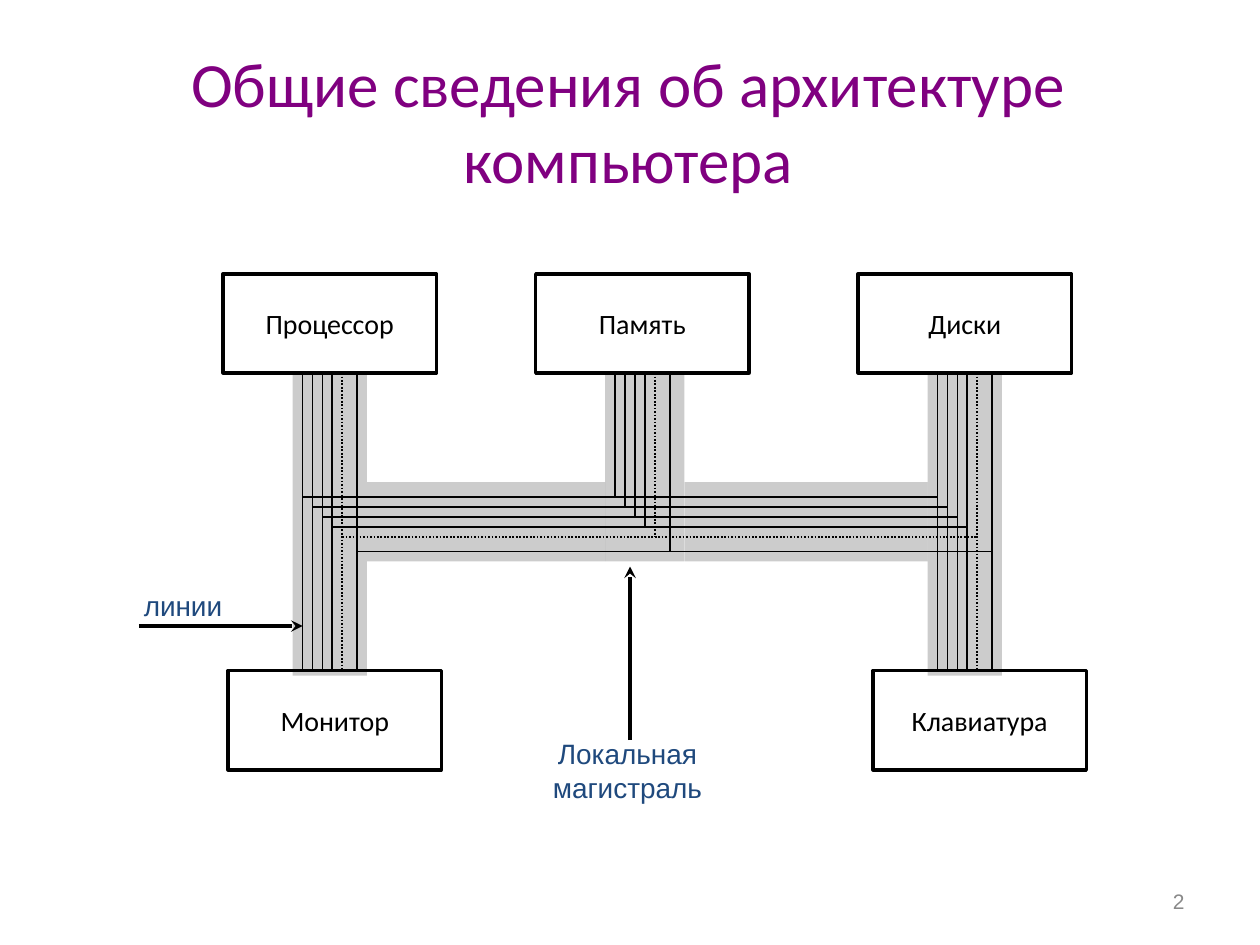
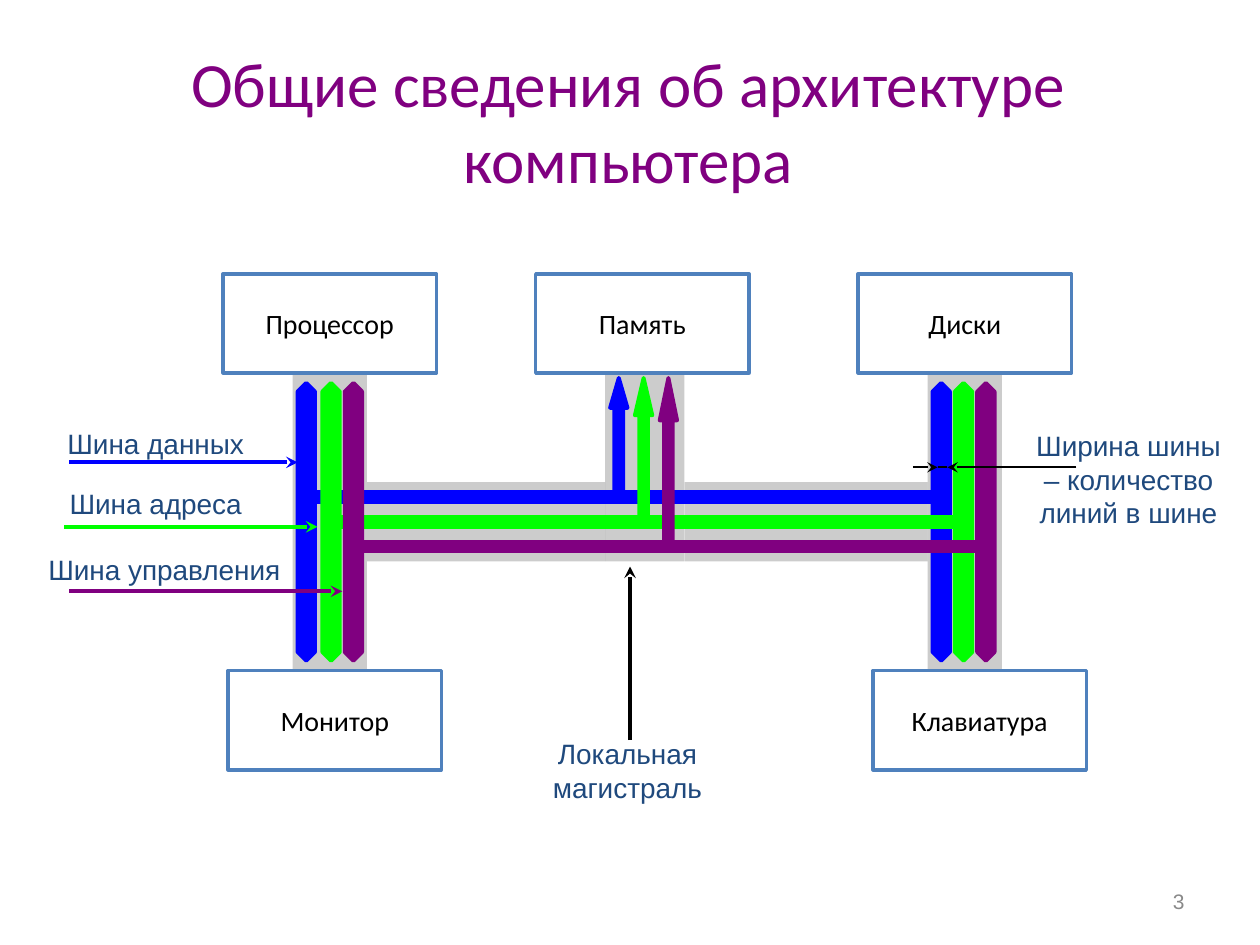
import itertools
from dataclasses import dataclass
from typing import Any, Optional

import pptx
import pptx.util
import pptx.dml.color
import pptx.enum.dml
import pptx.enum.shapes
import pptx.enum.text
import pptx.oxml.ns
from lxml import etree

RGBColor = pptx.dml.color.RGBColor
Pt = pptx.util.Pt
Shape = pptx.enum.shapes.MSO_SHAPE
Align = pptx.enum.text.PP_ALIGN
Anchor = pptx.enum.text.MSO_ANCHOR
qn = pptx.oxml.ns.qn

BLACK = RGBColor(0x00, 0x00, 0x00)
WHITE = RGBColor(0xFF, 0xFF, 0xFF)
PURPLE = RGBColor(0x80, 0x00, 0x80)
BLUE = RGBColor(0x00, 0x00, 0xFF)
GREEN = RGBColor(0x00, 0xFF, 0x00)
STEEL = RGBColor(0x4F, 0x81, 0xBD)
NAVY = RGBColor(0x1F, 0x49, 0x7D)
GREY = RGBColor(0x89, 0x89, 0x89)

# The grid has 254 columns across the slide and square cells.
SLIDE_WIDTH = pptx.util.Inches(10)
SLIDE_HEIGHT = pptx.util.Inches(7.5)
CELL = SLIDE_WIDTH / 254
TOP_OFFSET = 0.2

THIN, THICK = 1, 2.25
TITLE = "Общие сведения об архитектуре компьютера"


@dataclass(frozen=True)
class Area:
    column: float
    row: float
    columns: float
    rows: float

    def emu(self) -> tuple[int, ...]:
        cells = (self.column, self.row + TOP_OFFSET, self.columns, self.rows)
        return tuple(round(cell * CELL) for cell in cells)


@dataclass(frozen=True)
class TextStyle:
    font: str
    size: float
    color: RGBColor
    align: Any = Align.CENTER
    anchor: Any = Anchor.TOP
    wrap: bool = True


@dataclass(frozen=True)
class Label:
    text: str
    area: Area


@dataclass(frozen=True)
class Segment:
    start: tuple[float, float]
    end: tuple[float, float]
    color: RGBColor = BLACK
    width: float = THIN
    arrow: bool = False
    dotted: bool = False


@dataclass(frozen=True)
class Bus:
    """One coloured bus: its rail, its end arrows and its branch to memory."""
    color: RGBColor
    rail: Area
    arrow_columns: tuple[float, float]
    memory_column: float
    memory_rows: float
    memory_head: float
    label: Label
    pointer_start: tuple[float, float]
    pointer_end: float


TITLE_STYLE = TextStyle("Calibri", 36, PURPLE, anchor=Anchor.MIDDLE)
NUMBER_STYLE = TextStyle("Arial", 12, GREY, Align.RIGHT, Anchor.MIDDLE)
DEVICE_STYLE = TextStyle("Calibri", 16, BLACK, anchor=Anchor.MIDDLE, wrap=False)
LABEL_STYLE = TextStyle("Arial", 16, NAVY)

TITLE_AREA = Area(8.4, 6.15, 236.5, 35.8)
NUMBER_AREA = Area(182.1, 176.3, 59.2, 10.2)

DEVICE_TOP, DEVICE_BOTTOM, DEVICE_ROWS = 55, 135, 20
WIRES_TOP = DEVICE_TOP + DEVICE_ROWS
DEVICES = [
    Label(text, Area(column, row, 43, DEVICE_ROWS))
    for text, column, row in (
        ("Процессор", 45, DEVICE_TOP),
        ("Память", 108, DEVICE_TOP),
        ("Диски", 173, DEVICE_TOP),
        ("Монитор", 46, DEVICE_BOTTOM),
        ("Клавиатура", 176, DEVICE_BOTTOM),
    )
]

LEFT_WIRE, MEMORY_WIRE, RIGHT_WIRE, RAIL_ROW = 61, 124, 189, 100
WIRE_OFFSETS = (0, 2, 4, 6, 8, 11)
DOTTED_OFFSET = 8

LINES_LABEL = Label("линии", Area(22.9, 117.1, 28, 9.4))
LINES_POINTER = Segment((28, 126), (LEFT_WIRE, 126), width=THICK, arrow=True)
TRUNK_LABEL = Label("Локальная магистраль", Area(98, 147.1, 57, 16.3))
TRUNK_POINTER = Segment((127, 149), (127, 114), width=THICK, arrow=True)

BUSES = [
    Bus(BLUE, Area(61, 99, 129, 2), (60, 188), 123, 24, 1.72,
        Label("Шина данных", Area(10.9, 84.6, 41, 9.4)), (14, 93), 60),
    Bus(GREEN, Area(66, 104, 129, 2), (65, 192.5), 128, 30, 2.15,
        Label("Шина адреса", Area(10.9, 96.6, 41, 9.4)), (13, 106), 64),
    Bus(PURPLE, Area(71, 109, 128, 2), (69.5, 197), 133, 34, 2.44,
        Label("Шина управления", Area(5.1, 110, 56.1, 9.4)), (14, 119), 69),
]
ARROW_COLUMNS = 3.5

WIDTH_LABEL = Label("Ширина шины – количество линий в шине", Area(206, 85, 43, 22.9))
WIDTH_MARKS = [
    Segment((184, 94), (189, 94), arrow=True),
    Segment((217, 94), (191, 94), arrow=True),
    Segment((189, 94), (191, 94)),
]


def assign(target: Any, **values: Any) -> None:
    for attribute, value in values.items():
        setattr(target, attribute, value)


def write(shape: Any, text: str, style: TextStyle) -> None:
    frame = shape.text_frame
    assign(frame, word_wrap=style.wrap, vertical_anchor=style.anchor)
    paragraph = frame.paragraphs[0]
    assign(paragraph, text=text, alignment=style.align)
    font = paragraph.runs[0].font
    assign(font, name=style.font, size=Pt(style.size))
    font.color.rgb = style.color


def draw_label(slide: Any, label: Label, style: TextStyle = LABEL_STYLE) -> None:
    write(slide.shapes.add_textbox(*label.area.emu()), label.text, style)


def draw_shape(slide: Any, kind: Any, area: Area, fill: RGBColor,
               line: Optional[RGBColor] = None, width: float = THICK,
               adjustments: tuple[float, ...] = ()) -> Any:
    shape = slide.shapes.add_shape(kind, *area.emu())
    shape.shadow.inherit = False
    shape.fill.solid()
    shape.fill.fore_color.rgb = fill
    if line is None:
        shape.line.fill.background()
    else:
        shape.line.color.rgb = line
        shape.line.width = Pt(width)
    for index, value in enumerate(adjustments):
        shape.adjustments[index] = value
    return shape


def draw_segment(slide: Any, segment: Segment) -> None:
    points = itertools.chain.from_iterable(
        Area(*point, 0, 0).emu()[:2] for point in (segment.start, segment.end))
    connector = slide.shapes.add_connector(
        pptx.enum.shapes.MSO_CONNECTOR.STRAIGHT, *points)
    connector.line.color.rgb = segment.color
    connector.line.width = Pt(segment.width)
    if segment.dotted:
        connector.line.dash_style = pptx.enum.dml.MSO_LINE.ROUND_DOT
    properties = connector.element.spPr
    if segment.arrow:
        etree.SubElement(properties.find(qn("a:ln")), qn("a:tailEnd"), type="stealth")
    etree.SubElement(properties, qn("a:effectLst"))


def draw_devices(slide: Any, outline: RGBColor) -> None:
    for device in DEVICES:
        box = draw_shape(slide, Shape.RECTANGLE, device.area, WHITE, outline, 2)
        write(box, device.text, DEVICE_STYLE)


def draw_trunk(slide: Any, side_row: float) -> None:
    """Draw the translucent trunk with its label; side_row starts the outer legs."""
    for area in (Area(59, side_row, 15, 61), Area(122, WIRES_TOP, 16, 38),
                 Area(187, side_row, 15, 61), Area(138, 97, 49, 16),
                 Area(74, 97, 48, 16)):
        band = draw_shape(slide, Shape.RECTANGLE, area, BLACK)
        color = band.element.spPr.find(qn("a:solidFill"))[0]
        etree.SubElement(color, qn("a:alpha"), val="20000")
    draw_segment(slide, TRUNK_POINTER)
    draw_label(slide, TRUNK_LABEL)


def draw_wires(slide: Any) -> None:
    for offset in WIRE_OFFSETS:
        left, memory, right, rail = (
            start + offset for start in (LEFT_WIRE, MEMORY_WIRE, RIGHT_WIRE, RAIL_ROW))
        for start, end in (((left, WIRES_TOP), (left, DEVICE_BOTTOM)),
                           ((right, WIRES_TOP), (right, DEVICE_BOTTOM)),
                           ((memory, WIRES_TOP), (memory, rail)),
                           ((left, rail), (right, rail))):
            draw_segment(slide, Segment(start, end, dotted=offset == DOTTED_OFFSET))


def draw_bus(slide: Any, bus: Bus) -> None:
    for column in bus.arrow_columns:
        draw_shape(slide, Shape.UP_DOWN_ARROW, Area(column, 77, ARROW_COLUMNS, 56),
                   bus.color, bus.color, adjustments=(0.5, 3.2))
    draw_shape(slide, Shape.RECTANGLE, bus.rail, bus.color, bus.color)
    draw_shape(slide, Shape.UP_ARROW,
               Area(bus.memory_column, 76, ARROW_COLUMNS, bus.memory_rows),
               bus.color, bus.color, adjustments=(0.5, bus.memory_head))


def add_slide(deck: Any, number: int) -> Any:
    slide = deck.slides.add_slide(deck.slide_layouts[6])
    draw_label(slide, Label(TITLE, TITLE_AREA), TITLE_STYLE)
    draw_label(slide, Label(str(number), NUMBER_AREA), NUMBER_STYLE)
    return slide


def build_lines_slide(deck: Any) -> None:
    slide = add_slide(deck, 2)
    draw_devices(slide, BLACK)
    draw_wires(slide)
    draw_segment(slide, LINES_POINTER)
    draw_label(slide, LINES_LABEL)
    draw_trunk(slide, WIRES_TOP)


def build_buses_slide(deck: Any) -> None:
    slide = add_slide(deck, 3)
    draw_trunk(slide, WIRES_TOP - 1)
    for bus in BUSES:
        draw_bus(slide, bus)
    draw_devices(slide, STEEL)
    for bus in BUSES:
        pointer_end = (bus.pointer_end, bus.pointer_start[1])
        draw_segment(slide, Segment(bus.pointer_start, pointer_end,
                                    bus.color, THICK, arrow=True))
        draw_label(slide, bus.label)
    for mark in WIDTH_MARKS:
        draw_segment(slide, mark)
    draw_label(slide, WIDTH_LABEL)


def main() -> None:
    deck = pptx.Presentation()
    assign(deck, slide_width=SLIDE_WIDTH, slide_height=SLIDE_HEIGHT)
    build_lines_slide(deck)
    build_buses_slide(deck)
    deck.save("out.pptx")


if __name__ == "__main__":
    main()
